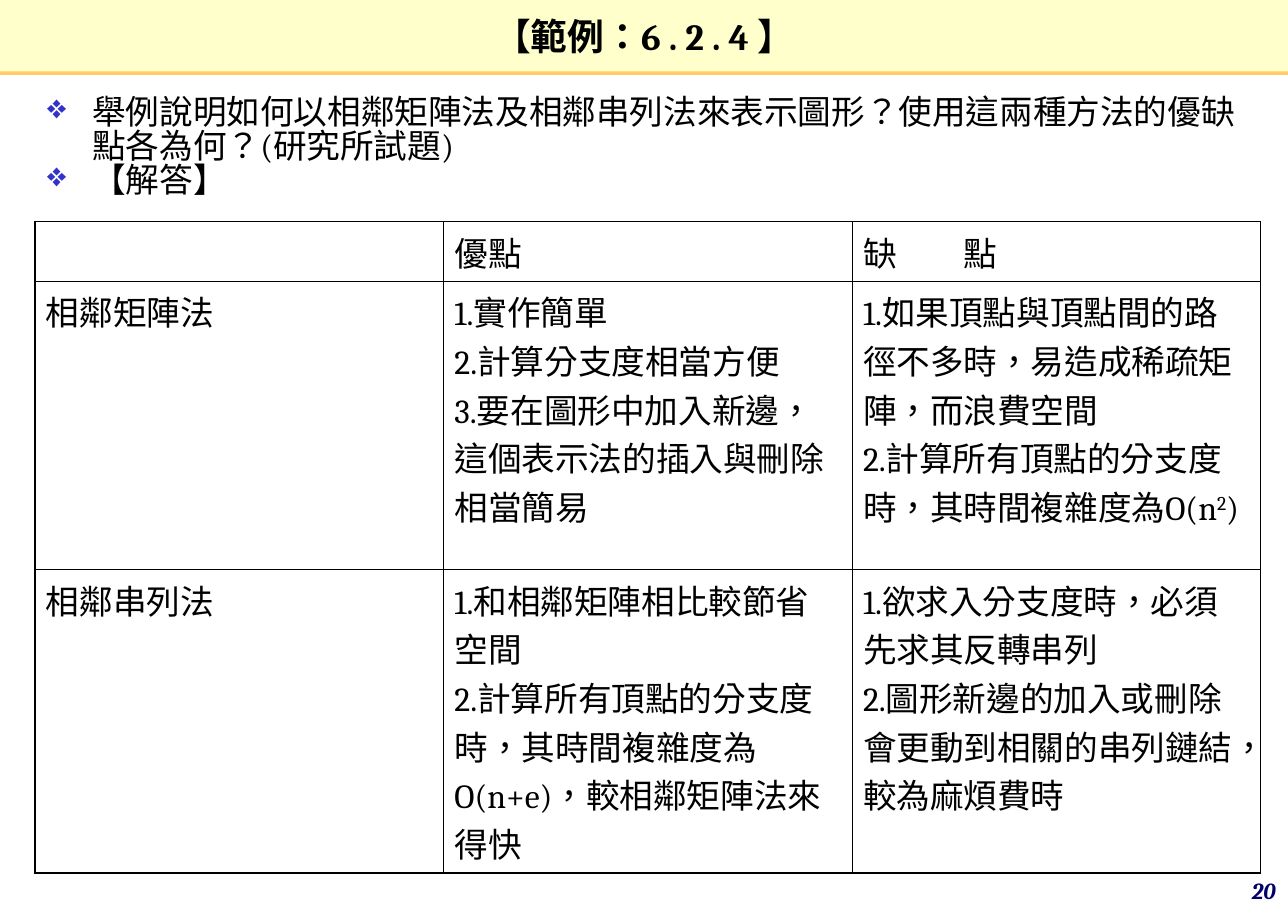
from dataclasses import dataclass

from lxml.etree import SubElement
from pptx import Presentation
from pptx.dml.color import RGBColor as RGB
from pptx.enum.lang import MSO_LANGUAGE_ID as LANG
from pptx.enum.shapes import MSO_CONNECTOR as CONNECTOR, MSO_SHAPE as SHAPE
from pptx.enum.text import MSO_ANCHOR as ANCHOR, PP_ALIGN as ALIGN
from pptx.oxml.ns import qn
from pptx.util import Cm, Pt


@dataclass(frozen=True)
class Theme:
    font: str = "Cambria"
    ink: str = "000000"
    band: str = "FFFFCC"
    rule: str = "FFCC66"
    bullet: str = "3333CC"
    number: str = "000066"
    title_size: float = 24
    body_size: float = 22
    number_size: float = 15
    outer_border: float = 1.08
    inner_border: float = 0.45


def add_bullet(p, char, color, indent):
    """Give a paragraph a hanging coloured bullet."""
    pPr = p._p.get_or_add_pPr()
    pPr.set("marL", str(indent))
    pPr.set("indent", str(-indent))
    SubElement(SubElement(pPr, qn("a:buClr")), qn("a:srgbClr"), val=color)
    SubElement(pPr, qn("a:buChar"), char=char)


def write(tf, paragraphs, *, font, size, color, bold=False, italic=False,
          align=ALIGN.LEFT, spacing=1.0, bullet=None):
    """Fill a text frame; text between two ^ signs is superscript."""
    for i, text in enumerate(paragraphs):
        p = tf.add_paragraph() if i else tf.paragraphs[0]
        p.alignment, p.line_spacing = align, spacing
        if bullet:
            add_bullet(p, **bullet)
        for j, part in enumerate(text.split("^")):
            r = p.add_run()
            r.text = part
            f = r.font
            f.name, f.size, f.bold, f.italic = font, Pt(size), bold, italic
            f.color.rgb = RGB.from_string(color)
            f.language_id = LANG.TRADITIONAL_CHINESE
            if j % 2:
                r._r.get_or_add_rPr().set("baseline", "30000")


def set_border(cell, side, width, color):
    ln = SubElement(cell._tc.get_or_add_tcPr(), qn(f"a:ln{side}"),
                    w=str(Pt(width)))
    SubElement(SubElement(ln, qn("a:solidFill")), qn("a:srgbClr"), val=color)


class SlideBuilder:
    def __init__(self, slide, theme):
        self.shapes, self.theme = slide.shapes, theme

    def text_format(self, **changes):
        t = self.theme
        return dict(font=t.font, size=t.body_size, color=t.ink) | changes

    def rule(self, y, width, weight):
        line = self.shapes.add_connector(
            CONNECTOR.STRAIGHT, 0, Cm(y), Cm(width), Cm(y))
        line.line.color.rgb = RGB.from_string(self.theme.rule)
        line.line.width = Pt(weight)
        SubElement(line._element.spPr, qn("a:effectLst"))

    def title(self, text, width, height):
        sp = self.shapes.add_shape(SHAPE.RECTANGLE, 0, 0, Cm(width), Cm(height))
        sp.shadow.inherit = False
        sp.fill.solid()
        sp.fill.fore_color.rgb = RGB.from_string(self.theme.band)
        sp.line.fill.background()
        tf = sp.text_frame
        tf.margin_left = tf.margin_right = tf.margin_top = tf.margin_bottom = 0
        tf.vertical_anchor = ANCHOR.MIDDLE
        write(tf, [text], **self.text_format(
            size=self.theme.title_size, bold=True, align=ALIGN.CENTER))

    def text(self, paragraphs, x, y, w, h, anchor=ANCHOR.TOP, **changes):
        tf = self.shapes.add_textbox(Cm(x), Cm(y), Cm(w), Cm(h)).text_frame
        tf.word_wrap, tf.vertical_anchor = True, anchor
        tf.margin_left = tf.margin_right = Cm(0.28)
        tf.margin_top = tf.margin_bottom = Cm(0.13)
        write(tf, paragraphs, **self.text_format(**changes))

    def table(self, rows, x, y, col_width, heights):
        n_rows, n_cols = len(rows), len(rows[0])
        table = self.shapes.add_table(
            n_rows, n_cols, Cm(x), Cm(y),
            Cm(col_width * n_cols), Cm(sum(heights))).table
        table.first_row = table.horz_banding = False
        for col in table.columns:
            col.width = Cm(col_width)
        for i, row in enumerate(rows):
            table.rows[i].height = Cm(heights[i])
            for j, paragraphs in enumerate(row):
                outer = {"L": j == 0, "R": j == n_cols - 1,
                         "T": i == 0, "B": i == n_rows - 1}
                self.cell(table.cell(i, j), paragraphs, outer)

    def cell(self, cell, paragraphs, outer):
        t = self.theme
        for side, is_outer in outer.items():
            width = t.outer_border if is_outer else t.inner_border
            set_border(cell, side, width, t.ink)
        cell.fill.background()
        cell.margin_left = cell.margin_right = Cm(0.25)
        cell.margin_top = cell.margin_bottom = Cm(0.13)
        write(cell.text_frame, paragraphs, **self.text_format())


QUESTION = [
    "舉例說明如何以相鄰矩陣法及相鄰串列法來表示圖形？使用這兩種方法的優缺點各為何？(研究所試題)",
    "【解答】",
]
COMPARISON = [
    [[], ["優點"], ["缺　　點"]],
    [["相鄰矩陣法"],
     ["1.實作簡單",
      "2.計算分支度相當方便",
      "3.要在圖形中加入新邊，這個表示法的插入與刪除相當簡易"],
     ["1.如果頂點與頂點間的路徑不多時，易造成稀疏矩陣，而浪費空間",
      "2.計算所有頂點的分支度時，其時間複雜度為O(n^2^)"]],
    [["相鄰串列法"],
     ["1.和相鄰矩陣相比較節省空間",
      "2.計算所有頂點的分支度時，其時間複雜度為O(n+e)，較相鄰矩陣法來得快"],
     ["1.欲求入分支度時，必須先求其反轉串列",
      "2.圖形新邊的加入或刪除會更動到相關的串列鏈結，較為麻煩費時"]],
]


def main():
    width, height, left = 29.7, 21, 0.81
    theme = Theme()
    prs = Presentation()
    prs.slide_width, prs.slide_height = Cm(width), Cm(height)
    s = SlideBuilder(prs.slides.add_slide(prs.slide_layouts[6]), theme)

    # Title band
    s.rule(1.68, width, 3)
    s.title("【範例：6 . 2 . 4 】", width, 1.65)

    # Question
    s.text(QUESTION, left, 2.11, 28.27, 3.18, spacing=0.84,
           bullet=dict(char="❖", color=theme.bullet, indent=Cm(1.04)))

    # Comparison of the two methods
    s.table(COMPARISON, left, 5.11, 9.42, [1.37, 6.65, 6.99])

    # Slide number
    s.text(["20"], 23.5, 20.19, 6.2, 0.79, anchor=ANCHOR.BOTTOM,
           size=theme.number_size, color=theme.number,
           bold=True, italic=True, align=ALIGN.RIGHT)

    prs.save("out.pptx")


if __name__ == "__main__":
    main()
